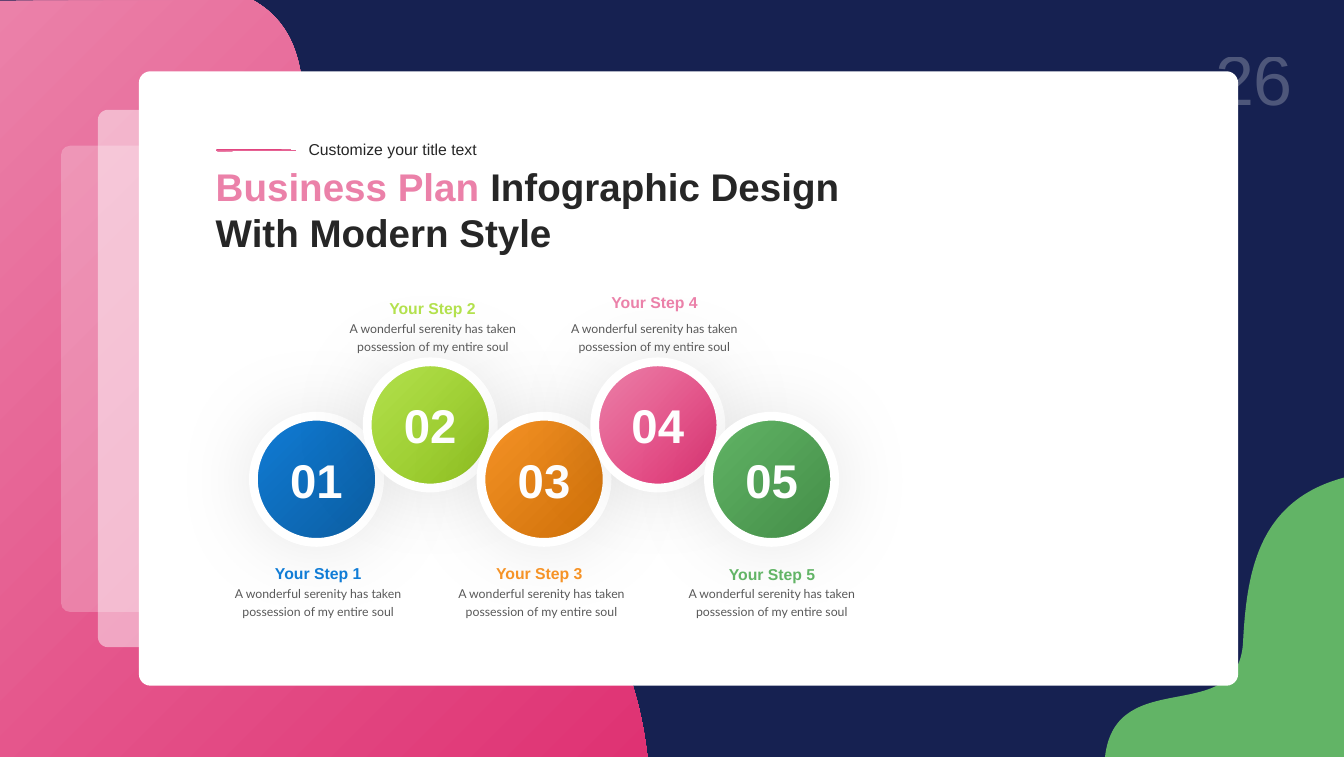
from lxml.etree import SubElement
from pptx import Presentation
from pptx.dml.color import RGBColor
from pptx.enum.shapes import MSO_SHAPE as Shape
from pptx.enum.text import MSO_ANCHOR as Anchor, MSO_AUTO_SIZE as AutoSize, PP_ALIGN as Align
from pptx.oxml.ns import qn
from pptx.util import Cm, Pt

NAVY, WHITE, INK, GREY = "162151", "FFFFFF", "262626", "595959"
PINK, DEEP_PINK, GREEN = "EB81A9", "DF3273", "62B466"


def paint(fill, *colours, angle=45, alpha=None):
    """Fill with one colour, or with a gradient of two at a clockwise angle."""
    if len(colours) == 2:
        fill.gradient()
        fill.gradient_angle = 360 - angle
        for stop, colour, position in zip(fill.gradient_stops, colours, (0, 1)):
            stop.color.rgb = RGBColor.from_string(colour)
            stop.position = position
    else:
        fill.solid()
        fill.fore_color.rgb = RGBColor.from_string(colours[0])
    if alpha is not None:
        for colour_node in fill._xPr.iter(qn("a:srgbClr")):
            SubElement(colour_node, qn("a:alpha"), val=str(alpha * 1000))


def write(frame, *texts, colours=((INK,),), size=18, font="Arial", bold=False,
          align=Align.LEFT, anchor=Anchor.TOP, spacing=None, angle=45, alpha=None):
    """Write the texts as runs of one paragraph, each in its own colours."""
    frame.word_wrap = True
    frame.auto_size = AutoSize.NONE
    frame.vertical_anchor = anchor
    paragraph = frame.paragraphs[0]
    paragraph.alignment = align
    paragraph.line_spacing = spacing
    for text, colour in zip(texts, colours):
        run = paragraph.add_run()
        run.text = text
        run.font.name, run.font.size, run.font.bold = font, Pt(size), bold
        paint(run.font.fill, *colour, angle=angle, alpha=alpha)


prs = Presentation()
prs.slide_width, prs.slide_height = Cm(54.1), Cm(30.48)
slide = prs.slides.add_slide(prs.slide_layouts[5])
shapes = slide.shapes
paint(slide.background.fill, NAVY)

page_number = shapes.add_textbox(Cm(39.9), Cm(1.32), Cm(12.4), Cm(3.68))
write(page_number.text_frame, "26", colours=[("F2F2F2",)], size=80,
      align=Align.RIGHT, alpha=25)

# Two corner blobs and the heading's accent stroke:
# colours, gradient angle, start, then segments (one point: line, three: curve)
outlines = [
    ((PINK, DEEP_PINK), 45, (0, 0.03),
     [[(0.08, 0), (10.13, 0.05), (10.08, -0.05)],
      [(14.43, 2.26), (10.34, 9.14), (13, 14.22)],
      [(15.67, 19.33), (24.92, 20.22), (26.06, 30.48)],
      [(0, 30.48)]]),
    ((GREEN,), 0, (54.1, 19.23),
     [[(50.72, 20.14), (50.19, 22.89), (50.04, 25.81)],
      [(49.89, 29.36), (44.91, 26.7), (44.48, 30.48)],
      [(54.1, 30.48)]]),
    ((DEEP_PINK, PINK), 90, (8.79, 5.99),
     [[(10.21, 6.02), (11.35, 6.02), (11.94, 6.05)],
      [(11.51, 6.07), (11.46, 6.07), (9.68, 6.07)],
      [(8.79, 6.1)],
      [(8.74, 6.07), (8.71, 6.07), (8.71, 6.05)],
      [(8.71, 6.02), (8.74, 5.99), (8.79, 5.99)]]),
]
for colours, angle, (start_x, start_y), segments in outlines:
    builder = shapes.build_freeform(Cm(start_x), Cm(start_y))
    builder.add_line_segments([(Cm(x), Cm(y)) for segment in segments for x, y in segment])
    curved = builder.convert_to_shape()
    lines = curved._element.iter(qn("a:lnTo"))
    lines = iter(list(lines))
    for segment in segments:
        nodes = [next(lines) for _ in segment]
        if len(nodes) == 3:
            nodes[0].addprevious(curve := nodes[0].makeelement(qn("a:cubicBezTo")))
            for node in nodes:
                curve.append(node[0])
                node.getparent().remove(node)
    paint(curved.fill, *colours, angle=angle)
    curved.line.fill.background()
    curved.shadow.inherit = False
accent = curved

# Stacked cards, from back to front
for left, top, width, height, alpha in [(2.46, 5.87, 33.58, 18.77, 24),
                                        (3.94, 4.42, 38.68, 21.64, 48),
                                        (5.59, 2.87, 44.25, 24.74, None)]:
    card = shapes.add_shape(Shape.ROUNDED_RECTANGLE, Cm(left), Cm(top), Cm(width), Cm(height))
    card.adjustments[0] = 0.019
    paint(card.fill, WHITE, alpha=alpha)
    card.line.fill.background()
    card.shadow.inherit = False

# Heading, in front of the cards
kicker = shapes.add_textbox(Cm(12.17), Cm(5.49), Cm(9.32), Cm(1.02))
write(kicker.text_frame, "Customize your title text")

title = shapes.title
title.left, title.top, title.width, title.height = Cm(8.43), Cm(6.44), Cm(27.1), Cm(4.01)
write(title.text_frame, "Business Plan ", "Infographic Design With Modern Style",
      colours=[(PINK, DEEP_PINK), (INK,)], size=44, bold=True, angle=140)
for part in (accent, title):
    shapes._spTree.append(part._element)

# Steps: gradient, heading centre and top, detail centre
steps = [
    (("107CD6", "0C5DA0"), 12.81, 22.43, 12.81),
    (("B3E14D", "90C221"), 17.41, 11.75, 17.43),
    (("F69326", "CD6F08"), 21.71, 22.43, 21.8),
    ((PINK, DEEP_PINK), 26.35, 11.5, 26.34),
    ((GREEN, "438D47"), 31.08, 22.45, 31.07),
]
for index, (colours, *_) in enumerate(steps):
    top = 14.57 if index % 2 else 16.76
    circle = shapes.add_shape(Shape.OVAL, Cm(10.2 + 4.58 * index), Cm(top), Cm(5.08), Cm(5.08))
    paint(circle.fill, *colours)
    paint(circle.line.fill, WHITE)
    circle.line.width = Pt(10)
    circle.shadow.inherit = False
    effects = circle._element.spPr.find(qn("a:effectLst"))
    shade = SubElement(effects, qn("a:outerShdw"), blurRad=str(Pt(93)), dist="0", dir="0",
                       algn="ctr", rotWithShape="0")
    SubElement(SubElement(shade, qn("a:srgbClr"), val="000000"), qn("a:alpha"), val="10000")
    write(circle.text_frame, f"{index + 1:02}", colours=[(WHITE,)], size=54, bold=True,
          align=Align.CENTER, anchor=Anchor.MIDDLE)

for index, (colours, heading_centre, heading_top, detail_centre) in enumerate(steps):
    heading = shapes.add_textbox(Cm(heading_centre - 3.72), Cm(heading_top), Cm(7.44), Cm(1.12))
    write(heading.text_frame, f"Your Step {index + 1}", colours=[colours[:1]], bold=True,
          align=Align.CENTER, spacing=1.2)
    detail_top = 12.69 if index % 2 else 23.37
    detail = shapes.add_textbox(Cm(detail_centre - 4.45), Cm(detail_top), Cm(8.9), Cm(1.63))
    write(detail.text_frame, "A wonderful serenity has taken possession of my entire soul",
          colours=[(GREY,)], size=14, font="Lato", align=Align.CENTER, spacing=1.2)

prs.save("out.pptx")
